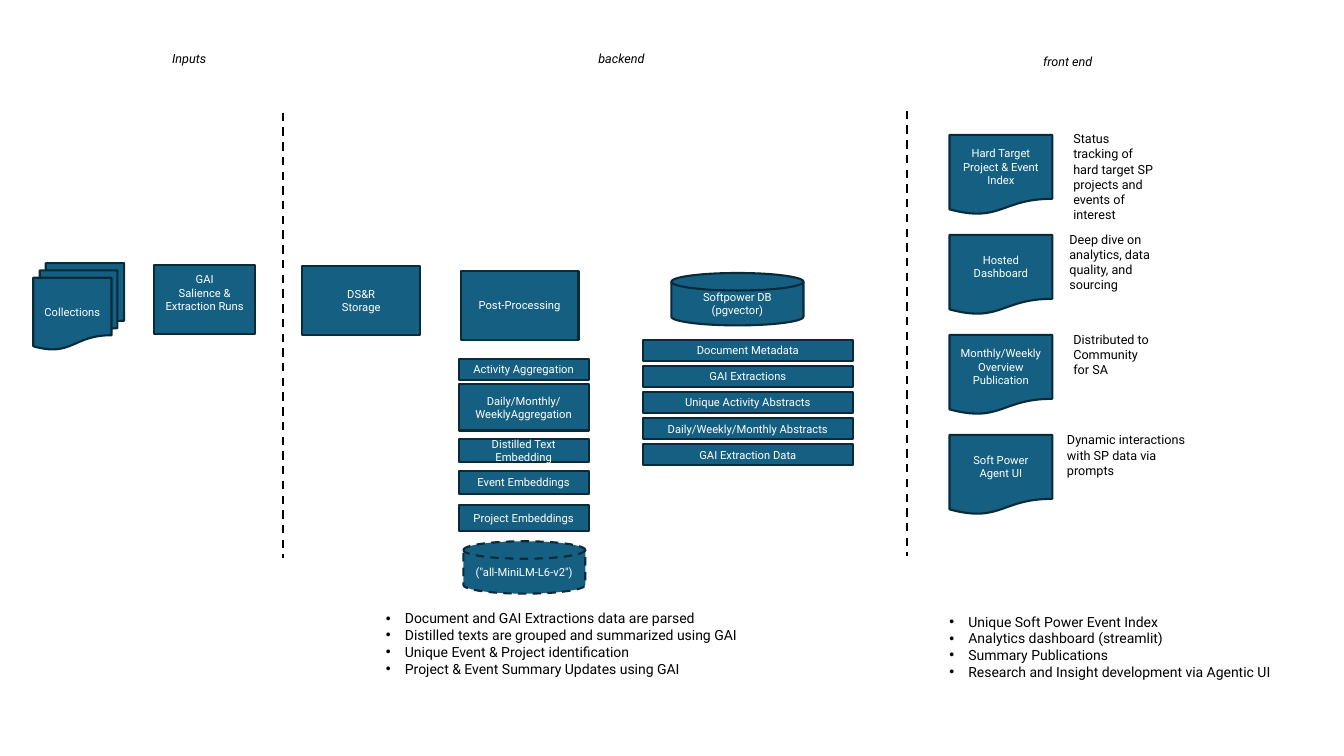
import dataclasses
import typing

import lxml.etree
import pptx
import pptx.dml.color
import pptx.enum.dml
import pptx.enum.shapes
import pptx.enum.text
import pptx.oxml.ns
import pptx.util

Cm, Pt = pptx.util.Cm, pptx.util.Pt
Kind = pptx.enum.shapes.MSO_SHAPE
Align = pptx.enum.text.PP_ALIGN
Anchor = pptx.enum.text.MSO_ANCHOR
DASH = pptx.enum.dml.MSO_LINE.DASH
qn = pptx.oxml.ns.qn


@dataclasses.dataclass(frozen=True)
class Theme:
    font: str = "Roboto"
    fill: str = "156082"
    outline: str = "092A39"
    light: str = "FFFFFF"
    dark: str = "000000"
    node_size: float = 8
    note_size: float = 9
    list_size: float = 10
    line_width: float = 1.5


THEME = Theme()


@dataclasses.dataclass(frozen=True)
class Node:
    """A filled shape with a centred label; lengths in cm."""
    text: str
    x: float
    y: float
    w: float
    h: float
    kind: Kind = Kind.RECTANGLE
    dashed: bool = False
    bottom_inset: float = 0.13


@dataclasses.dataclass(frozen=True)
class Note:
    text: str
    x: float
    y: float
    w: float = 2.59
    h: float = 0.64
    italic: bool = False


@dataclasses.dataclass(frozen=True)
class BulletList:
    items: tuple[str, ...]
    x: float
    y: float
    w: float
    h: float = 1.96


@dataclasses.dataclass(frozen=True)
class Divider:
    x: float
    top: float
    bottom: float


DOC_X, DOC_TOP, DOC_PITCH = 23.93, 3.4, 2.52
NOTE_TOP, NOTE_PITCH = 3.18, 2.53
TABLE_TOP, TABLE_PITCH = 8.56, 0.66

HEADINGS = [
    Note("Inputs", 4.09, 1.17, italic=True),
    Note("backend", 14.83, 1.17, italic=True),
    Note("front end", 26.04, 1.24, italic=True),
]
DIVIDERS = [Divider(7.14, 2.84, 14.07), Divider(22.86, 2.79, 14.02)]

PIPELINE = [
    Node("Collections", 0.84, 6.63, 2.29, 2.18, Kind.FLOWCHART_MULTIDOCUMENT),
    Node("GAI\nSalience & Extraction Runs", 3.89, 6.68, 2.54, 1.73,
         Kind.FLOWCHART_PROCESS, bottom_inset=0.46),
    Node("DS&R\nStorage", 7.62, 6.71, 2.97, 1.73),
    Node("Post-Processing", 11.61, 6.83, 2.97, 1.73),
    Node("Softpower DB (pgvector)", 16.92, 6.88, 3.33, 1.32,
         Kind.FLOWCHART_MAGNETIC_DISK),
]
STEPS = [
    Node(text, 11.56, y, 3.28, h) for text, y, h in (
        ("Activity Aggregation", 9.04, 0.53),
        ("Daily/Monthly/WeeklyAggregation", 9.68, 1.17),
        ("Distilled Text Embedding", 11.07, 0.58),
        ("Event Embeddings", 11.86, 0.58),
        ("Project Embeddings", 12.73, 0.66),
    )
]
EMBEDDING_MODEL = Node('("all-MiniLM-L6-v2")', 11.68, 13.64, 3.07, 1.32,
                       Kind.FLOWCHART_MAGNETIC_DISK, dashed=True)
TABLES = [
    Node(text, 16.21, TABLE_TOP + i * TABLE_PITCH, 5.28, 0.53)
    for i, text in enumerate((
        "Document Metadata", "GAI Extractions", "Unique Activity Abstracts",
        "Daily/Weekly/Monthly Abstracts", "GAI Extraction Data",
    ))
]
PRODUCTS = [
    Node(text, DOC_X, DOC_TOP + i * DOC_PITCH, 2.59, 2.01, Kind.FLOWCHART_DOCUMENT)
    for i, text in enumerate((
        "Hard Target Project & Event Index", "Hosted\nDashboard",
        "Monthly/Weekly Overview\nPublication", "Soft Power Agent UI",
    ))
]
PRODUCT_NOTES = [
    Note(text, x, NOTE_TOP + i * NOTE_PITCH, w, h)
    for i, (text, x, w, h) in enumerate((
        ("Status tracking of hard target SP projects and events of interest",
         26.8, 2.59, 2.18),
        ("Deep dive on analytics, data quality, and sourcing", 26.7, 2.59, 1.8),
        ("Distributed to Community for SA", 26.8, 2.59, 1.42),
        ("Dynamic interactions with SP data via prompts", 26.64, 3.86, 1.42),
    ))
]
LISTS = [
    BulletList((
        "Document and GAI Extractions data are parsed",
        "Distilled texts are grouped and summarized using GAI",
        "Unique Event & Project identification",
        "Project & Event Summary Updates using GAI",
    ), 9.47, 15.24, 12.78),
    BulletList((
        "Unique Soft Power Event Index",
        "Analytics dashboard (streamlit)",
        "Summary Publications",
        "Research and Insight development via Agentic UI",
    ), 23.67, 15.32, 8.81),
]


def rgb(value: str) -> pptx.dml.color.RGBColor:
    return pptx.dml.color.RGBColor.from_string(value)


def apply(target: typing.Any, formats: dict[str, typing.Any]) -> None:
    for name, value in formats.items():
        setattr(target, name, value)


def write(tf, text: str, size: float, color: str, align=Align.LEFT, italic=False) -> None:
    """Fill a text frame, one paragraph per line of text."""
    apply(tf, {"word_wrap": True, "text": text})
    for p in tf.paragraphs:
        apply(p, {"alignment": align, "space_before": Pt(0)})
        for r in p.runs:
            apply(r.font, {"name": THEME.font, "size": Pt(size), "italic": italic})
            r.font.color.rgb = rgb(color)


def style_line(line, color: str, dashed: bool) -> None:
    line.color.rgb = rgb(color)
    line.width = Pt(THEME.line_width)
    if dashed:
        line.dash_style = DASH


def add_node(s, node: Node) -> None:
    sp = s.shapes.add_shape(node.kind, Cm(node.x), Cm(node.y), Cm(node.w), Cm(node.h))
    sp.shadow.inherit = False
    sp.fill.solid()
    sp.fill.fore_color.rgb = rgb(THEME.fill)
    style_line(sp.line, THEME.outline, node.dashed)
    apply(sp.text_frame, {"vertical_anchor": Anchor.MIDDLE,
                          "margin_bottom": Cm(node.bottom_inset)})
    write(sp.text_frame, node.text, THEME.node_size, THEME.light, Align.CENTER)


def add_note(s, note: Note) -> None:
    sp = s.shapes.add_textbox(Cm(note.x), Cm(note.y), Cm(note.w), Cm(note.h))
    write(sp.text_frame, note.text, THEME.note_size, THEME.dark, italic=note.italic)


def add_divider(s, divider: Divider) -> None:
    x = Cm(divider.x)
    line = s.shapes.add_connector(pptx.enum.shapes.MSO_CONNECTOR.STRAIGHT,
                                  x, Cm(divider.top), x, Cm(divider.bottom))
    style_line(line.line, THEME.dark, dashed=True)
    lxml.etree.SubElement(line._element.spPr, qn("a:effectLst"))


def fill_list(sp, bullets: BulletList) -> None:
    apply(sp, {"left": Cm(bullets.x), "top": Cm(bullets.y),
               "width": Cm(bullets.w), "height": Cm(bullets.h)})
    tf = sp.text_frame
    write(tf, "\n".join(bullets.items), THEME.list_size, THEME.dark)
    tf.auto_size = pptx.enum.text.MSO_AUTO_SIZE.NONE
    for p in tf.paragraphs:
        props = p._p.get_or_add_pPr()
        props.set("marL", str(Cm(0.48)))
        props.set("indent", str(Cm(-0.48)))
        lxml.etree.SubElement(props, qn("a:buFont"), typeface="Arial")
        lxml.etree.SubElement(props, qn("a:buChar"), char="•")


def main() -> None:
    prs = pptx.Presentation()
    apply(prs, {"slide_width": Cm(33.87), "slide_height": Cm(19.05)})
    s = prs.slides.add_slide(prs.slide_layouts.get_by_name("Two Content"))
    title = s.shapes.title._element
    title.getparent().remove(title)
    for sp, bullets in zip(list(s.placeholders), LISTS):
        fill_list(sp, bullets)
    for divider in DIVIDERS:
        add_divider(s, divider)
    for node in [*PIPELINE, *STEPS, EMBEDDING_MODEL, *TABLES, *PRODUCTS]:
        add_node(s, node)
    for note in HEADINGS + PRODUCT_NOTES:
        add_note(s, note)
    prs.save("out.pptx")


if __name__ == "__main__":
    main()
